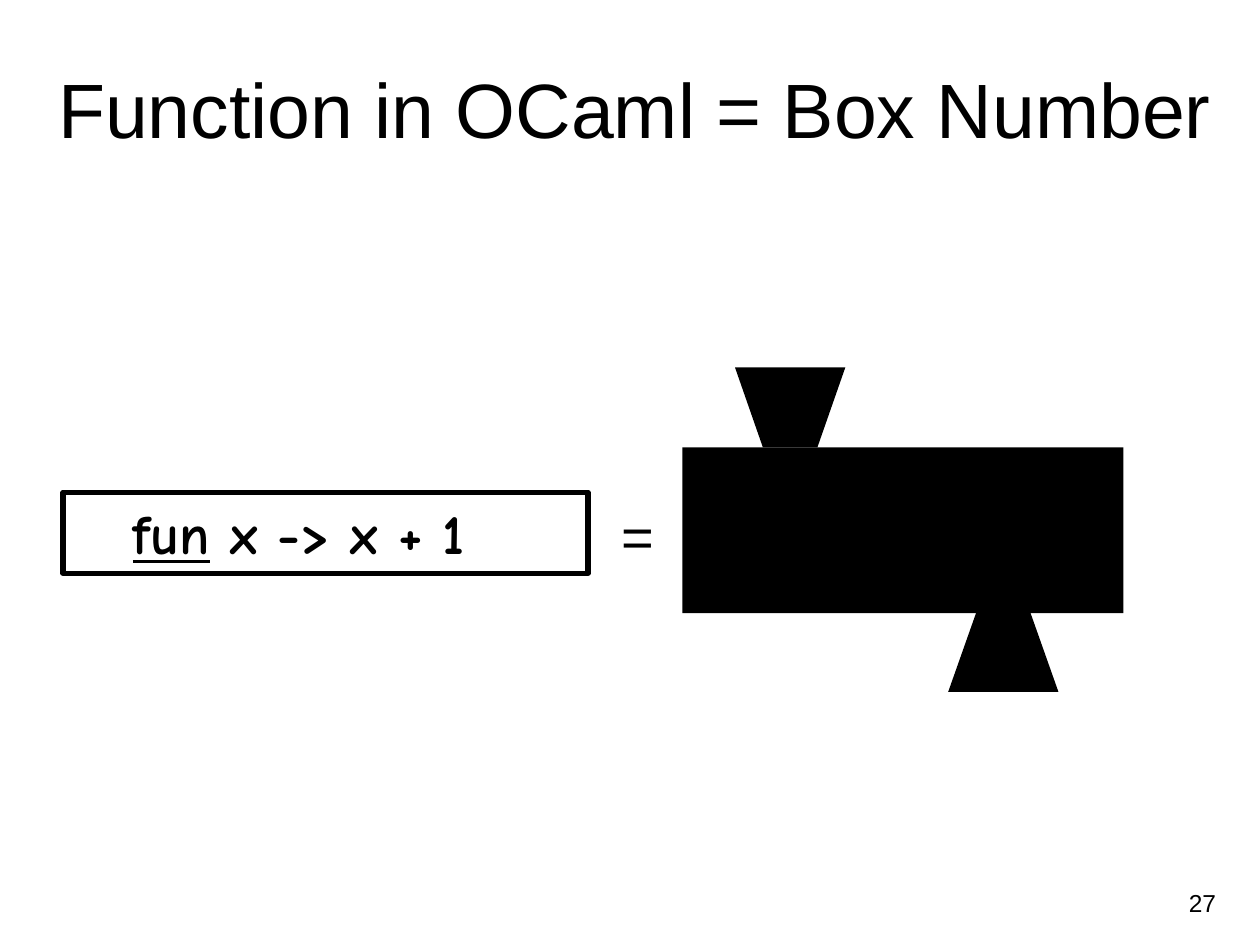
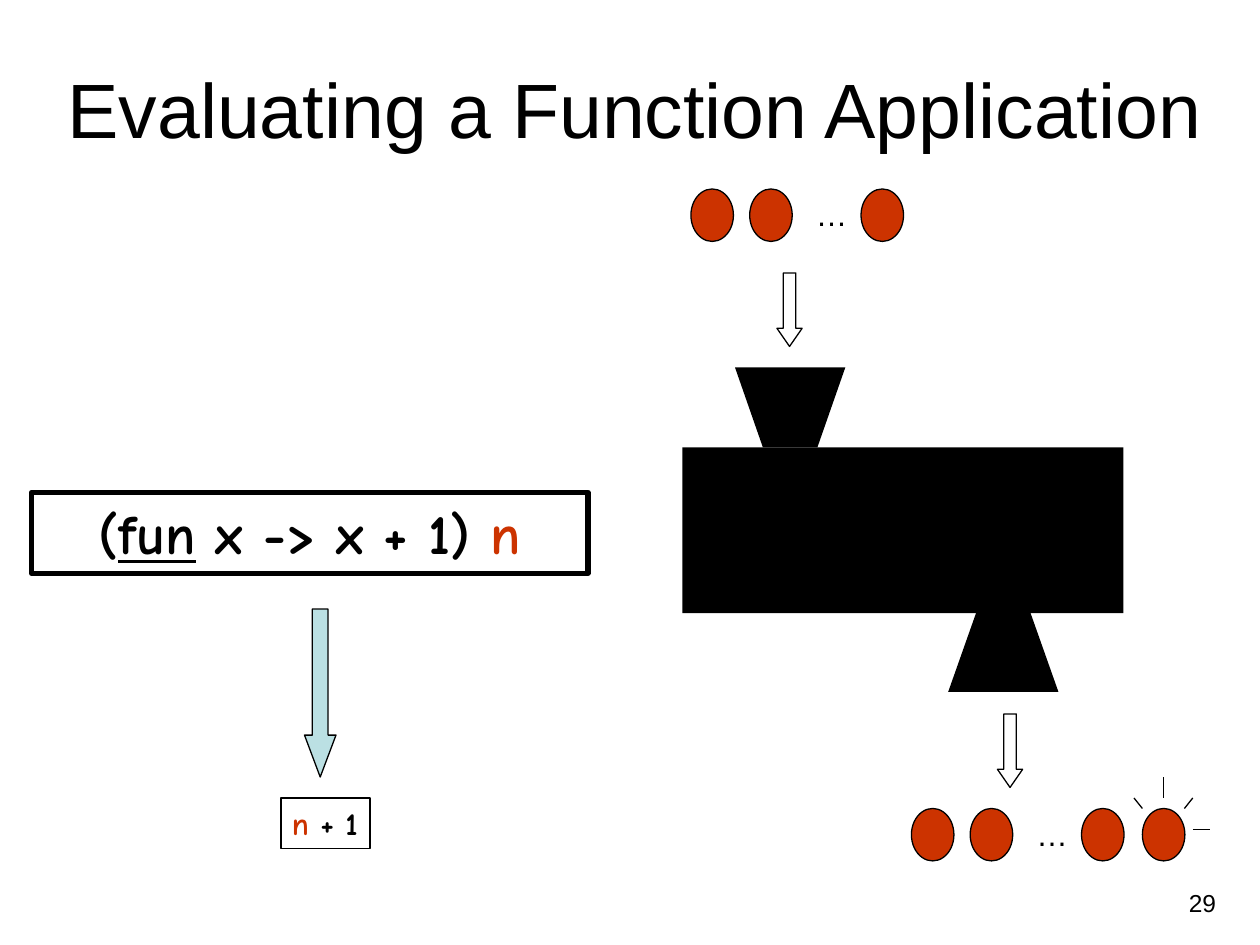
from lxml.etree import SubElement
from pptx import Presentation
from pptx.dml.color import RGBColor
from pptx.enum.shapes import MSO_CONNECTOR, MSO_SHAPE
from pptx.enum.text import MSO_ANCHOR, PP_ALIGN
from pptx.oxml.ns import qn
from pptx.util import Inches, Pt

BLACK = RGBColor(0x00, 0x00, 0x00)
RED = RGBColor(0xCC, 0x33, 0x00)
PALE_BLUE = RGBColor(0xBB, 0xE0, 0xE3)
SANS, HAND = "Arial", "Comic Neue"

# The slide is a grid of 120 columns by 90 rows with square cells.
COLS, ROWS = 120, 90
CELL = Inches(10) / COLS
THIN, THICK = 0.75, 3

TOKEN_COLS = (65.8, 71.4, 82)
DOTS_COL = 76.5
INPUT_ROW, OUTPUT_ROW = 18, 77
OUTPUT_SHIFT = 21
RAYS = ((110.8, 76, 110.8, 74), (112.8, 77, 113.6, 76),
        (113.6, 79, 115.2, 79), (108.8, 77, 108, 76))


def grid(*cells):
    return [round(c * CELL) for c in cells]


def paint(sp, fill=None, line=None):
    sp.shadow.inherit = False
    if fill is None:
        sp.fill.background()
    else:
        sp.fill.solid()
        sp.fill.fore_color.rgb = fill
    if line is None:
        sp.line.fill.background()
    else:
        sp.line.color.rgb = BLACK
        sp.line.width = Pt(line)
    return sp


def add_shape(slide, kind, cells, fill=None, line=None):
    return paint(slide.shapes.add_shape(kind, *grid(*cells)), fill, line)


def write(sp, text, size, font=SANS, bold=False, align=PP_ALIGN.CENTER,
          anchor=MSO_ANCHOR.TOP, wrap=True):
    """Write one paragraph; text is a string or a list of (string, colour, underline)."""
    tf = sp.text_frame
    tf.word_wrap = wrap
    tf.vertical_anchor = anchor
    p = tf.paragraphs[0]
    p.alignment = align
    runs = [(text, BLACK, False)] if isinstance(text, str) else text
    for words, color, underline in runs:
        r = p.add_run()
        r.text = words
        r.font.name, r.font.size, r.font.bold = font, Pt(size), bold
        r.font.underline = underline
        r.font.color.rgb = color


def add_text(slide, cells, text, size, **style):
    write(slide.shapes.add_textbox(*grid(*cells)), text, size, **style)


def add_code_box(slide, cells, runs, size=32, line=THICK, **style):
    sp = add_shape(slide, MSO_SHAPE.RECTANGLE, cells, line=line)
    write(sp, runs, size, font=HAND, bold=True, **style)
    return sp


def add_down_arrow(slide, cells, head, fill=None):
    """Draw a down arrow whose head length is a multiple of its width."""
    sp = add_shape(slide, MSO_SHAPE.DOWN_ARROW, cells, fill, THIN)
    sp.adjustments[0], sp.adjustments[1] = 0.5, head


def add_funnel(slide, left, wide_row, narrow_row):
    width, inset = 10.5, 2.65
    corners = [(left, wide_row), (left + width, wide_row),
               (left + width - inset, narrow_row), (left + inset, narrow_row)]
    start, *rest = [grid(*c) for c in corners]
    path = slide.shapes.build_freeform(*start)
    path.add_line_segments(rest, close=True)
    paint(path.convert_to_shape(), BLACK)


def add_machine(slide):
    top, height, funnel = 42.6, 15.8, 7.6
    bottom = top + height
    add_shape(slide, MSO_SHAPE.RECTANGLE, (65, top, 42, height), BLACK)
    add_funnel(slide, 70, top - funnel, top)
    add_funnel(slide, 90.3, bottom + funnel - 0.1, bottom)


def add_token(slide, col, row):
    add_shape(slide, MSO_SHAPE.OVAL, (col, row, 4.05, 5), RED, THIN)


def add_token_row(slide, row, shift=0):
    for col in TOKEN_COLS:
        add_token(slide, col + shift, row)
    add_text(slide, (DOTS_COL + shift, row, 5.4, 4.8), "…", 18, wrap=False)


def add_ray(slide, cells):
    ray = slide.shapes.add_connector(MSO_CONNECTOR.STRAIGHT, *grid(*cells))
    ray.line.color.rgb = BLACK
    ray.line.width = Pt(THIN)
    SubElement(ray._element.spPr, qn("a:effectLst"))


def add_slide(prs, title, number):
    slide = prs.slides.add_slide(prs.slide_layouts[6])
    add_text(slide, (3, 3.6, 115, 13.4), title, 44, anchor=MSO_ANCHOR.MIDDLE)
    add_text(slide, (89, 84, 28, 4.2), number, 14, align=PP_ALIGN.RIGHT)
    add_machine(slide)
    return slide


def box_number_slide(prs):
    slide = add_slide(prs, "Function in OCaml = Box Number", "27")
    sp = add_code_box(slide, (6, 46.9, 50, 7.7),
                      [("fun", BLACK, True), (" x -> x + 1", BLACK, False)])
    sp.text_frame.margin_right = Inches(0.52)
    add_text(slide, (58, 47.15, 5.5, 7.7), "=", 32,
             align=PP_ALIGN.RIGHT, wrap=False)


def application_slide(prs):
    slide = add_slide(prs, "Evaluating a Function Application", "29")
    add_token_row(slide, INPUT_ROW)
    add_token_row(slide, OUTPUT_ROW, OUTPUT_SHIFT)
    add_token(slide, 108.8, OUTPUT_ROW)
    for ray in RAYS:
        add_ray(slide, ray)
    for col, row in ((74, 26), (74 + OUTPUT_SHIFT, 68)):
        add_down_arrow(slide, (col, row, 2.4, 7), 0.72)

    add_code_box(slide, (3, 46.9, 53, 7.7),
                 [("(", BLACK, False), ("fun", BLACK, True),
                  (" x -> x + 1) ", BLACK, False), ("n", RED, False)])
    add_down_arrow(slide, (29, 58, 3, 16), 1.33, PALE_BLUE)
    add_code_box(slide, (26.75, 76, 8.5, 4.8),
                 [("n ", RED, False), ("+ 1", BLACK, False)],
                 size=18, line=THIN, align=PP_ALIGN.RIGHT, wrap=False)


def main():
    prs = Presentation()
    prs.slide_width, prs.slide_height = grid(COLS, ROWS)
    box_number_slide(prs)
    application_slide(prs)
    prs.save("out.pptx")


if __name__ == "__main__":
    main()
